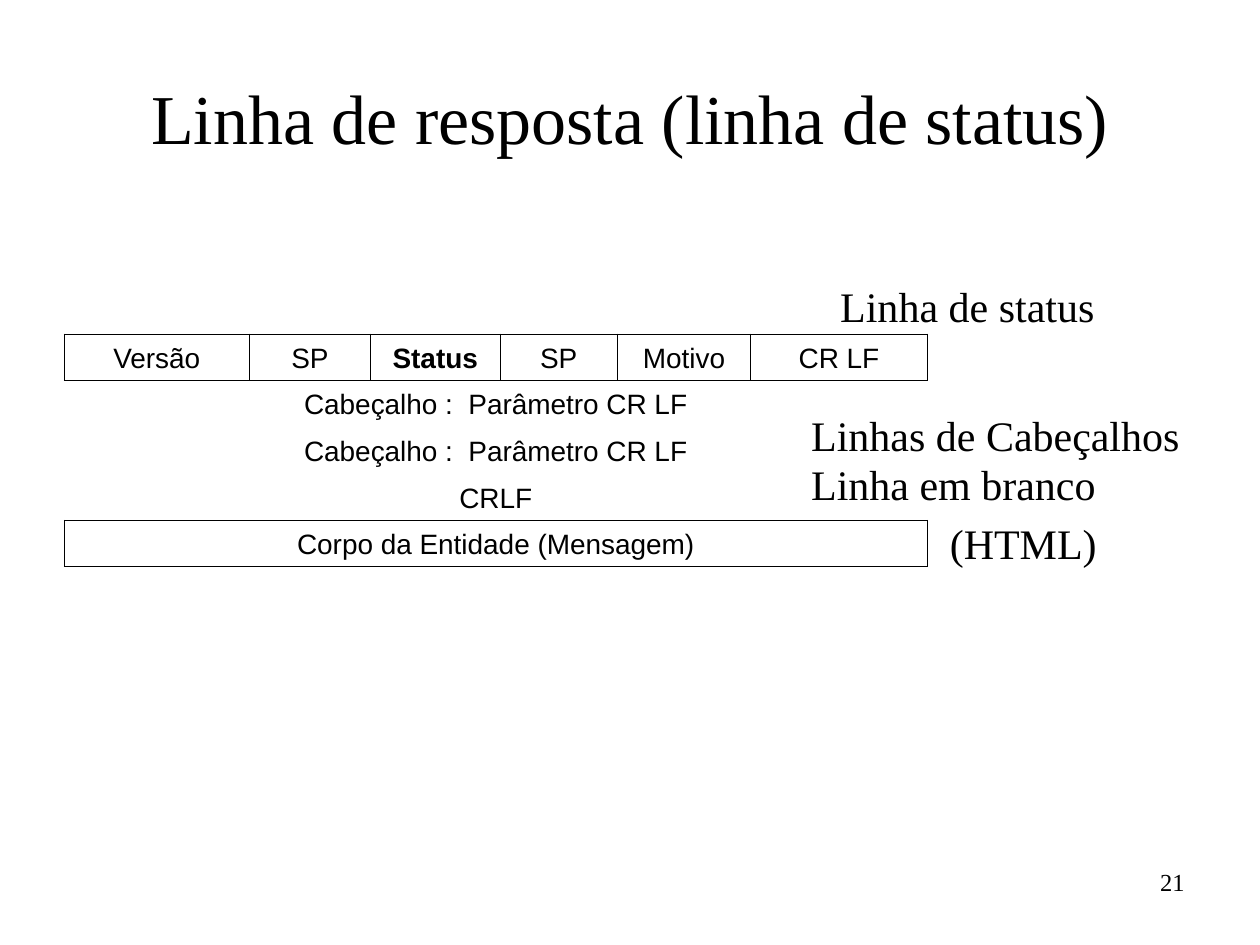
from lxml import etree
from pptx import Presentation
from pptx.dml.color import RGBColor
from pptx.enum.text import MSO_ANCHOR, MSO_AUTO_SIZE, PP_ALIGN
from pptx.oxml.ns import qn
from pptx.util import Inches, Pt

BLACK = RGBColor(0x00, 0x00, 0x00)
SERIF, SANS = "Times New Roman", "Arial"
LEFT, CENTER, RIGHT = PP_ALIGN.LEFT, PP_ALIGN.CENTER, PP_ALIGN.RIGHT
MIDDLE, BOTTOM = MSO_ANCHOR.MIDDLE, MSO_ANCHOR.BOTTOM
FIT_SHAPE = MSO_AUTO_SIZE.SHAPE_TO_FIT_TEXT
TITLE_ONLY = 5
BORDER_WIDTH = Pt(0.45)
SIDES = "LRTB"

TITLE = "Linha de resposta (linha de status)"
PAGE_NUMBER = "21"
STATUS_FIELDS = [
    ("Versão", 1.47),
    ("SP", 0.96),
    ("Status", 1.03),
    ("SP", 0.93),
    ("Motivo", 1.06),
    ("CR LF", 1.40),
]
BOLD_FIELD = "Status"
MESSAGE_LINES = [
    ("Cabeçalho :  Parâmetro CR LF", "T"),
    ("Cabeçalho :  Parâmetro CR LF", ""),
    ("CRLF", "B"),
    ("Corpo da Entidade (Mensagem)", SIDES),
]
LABELS = [
    ("Linha de status", 6.57, 2.18, 2.28),
    ("Linhas de Cabeçalhos", 6.34, 3.20, 4.17),
    ("Linha em branco", 6.34, 3.59, 2.84),
    ("(HTML)", 7.44, 4.06, 2.24),
]
TABLE_LEFT, TABLE_TOP, ROW_HEIGHT = 0.51, 2.65, 0.37


def write(frame, text, size, font=SERIF, align=LEFT, bold=False):
    para = frame.paragraphs[0]
    para.text = text
    para.alignment = align
    para.font.size = Pt(size)
    para.font.name = font
    para.font.bold = bold
    para.font.color.rgb = BLACK
    return para


def add_text(page, text, left, top, width, height, size, align=LEFT):
    box = page.shapes.add_textbox(
        Inches(left), Inches(top), Inches(width), Inches(height)
    )
    box.text_frame.word_wrap = True
    return box, write(box.text_frame, text, size, align=align)


def set_borders(cell, visible):
    properties = cell._tc.get_or_add_tcPr()
    for position, side in enumerate(SIDES):
        line = etree.Element(qn(f"a:ln{side}"), w=str(BORDER_WIDTH))
        if side in visible:
            fill = etree.SubElement(line, qn("a:solidFill"))
            etree.SubElement(fill, qn("a:srgbClr"), val=str(BLACK))
        else:
            etree.SubElement(line, qn("a:noFill"))
        properties.insert(position, line)


def style_cell(cell, visible):
    cell.fill.background()
    cell.vertical_anchor = BOTTOM
    set_borders(cell, visible)


def add_message_table(page):
    widths = [width for _, width in STATUS_FIELDS]
    row_count, last = len(MESSAGE_LINES) + 1, len(widths) - 1
    table = page.shapes.add_table(
        row_count, len(widths), Inches(TABLE_LEFT), Inches(TABLE_TOP),
        Inches(sum(widths)), Inches(ROW_HEIGHT * row_count),
    ).table
    table.first_row = table.horz_banding = False
    for column, width in zip(table.columns, widths):
        column.width = Inches(width)
    for row in table.rows:
        row.height = Inches(ROW_HEIGHT)

    for index, (text, _) in enumerate(STATUS_FIELDS):
        cell = table.cell(0, index)
        style_cell(cell, SIDES)
        write(cell.text_frame, text, 16, SANS, CENTER, text == BOLD_FIELD)

    for row, (text, visible) in enumerate(MESSAGE_LINES, start=1):
        for index in range(last + 1):
            style_cell(table.cell(row, index), visible)
        start = table.cell(row, 0)
        start.merge(table.cell(row, last))
        write(start.text_frame, text, 16, SANS, CENTER)


def main():
    deck = Presentation()
    deck.slide_width, deck.slide_height = Inches(10), Inches(7.5)
    page = deck.slides.add_slide(deck.slide_layouts[TITLE_ONLY])

    title = page.shapes.title
    title.left, title.top = Inches(0.5), Inches(0.3)
    title.width, title.height = Inches(9), Inches(1.25)
    title.text_frame.vertical_anchor = MIDDLE
    write(title.text_frame, TITLE, 40, align=CENTER)

    add_text(page, PAGE_NUMBER, 7.17, 6.83, 2.33, 0.52, 14, RIGHT)
    add_message_table(page)
    for text, left, top, width in LABELS:
        box, para = add_text(page, text, left, top, width, 0.5, 24)
        box.text_frame.auto_size = FIT_SHAPE
        para.space_before = Pt(15)

    deck.save("out.pptx")


if __name__ == "__main__":
    main()
